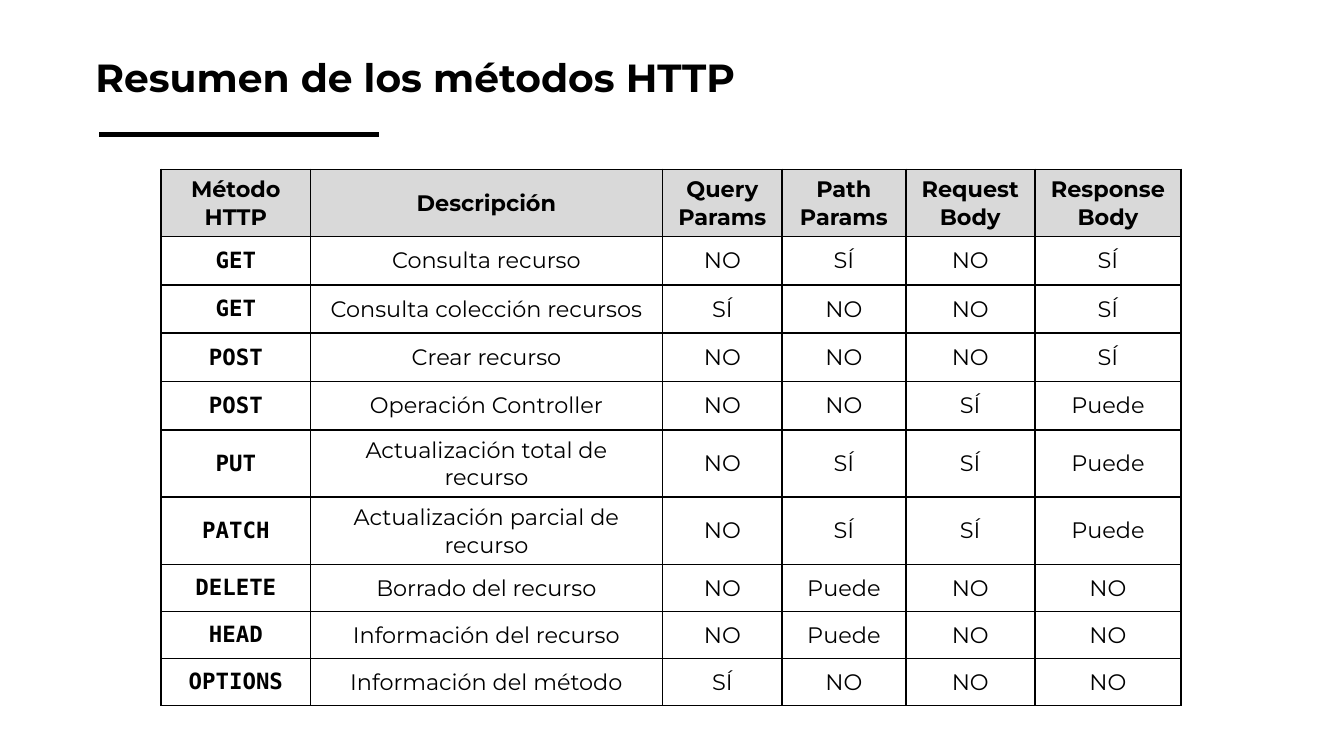
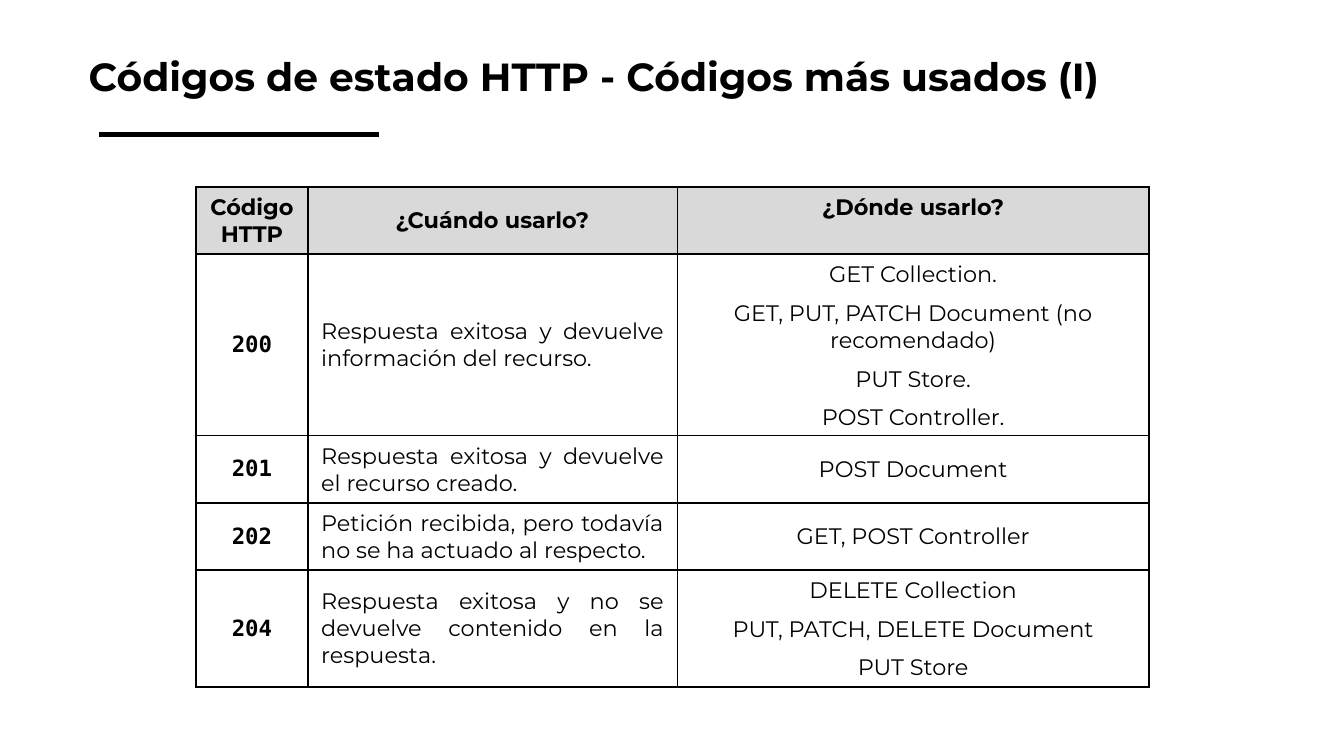
import lxml.etree
import pptx
import pptx.dml.color
import pptx.enum.shapes
import pptx.enum.text
import pptx.oxml.ns
import pptx.util

Inches = pptx.util.Inches
Pt = pptx.util.Pt
ALIGN = pptx.enum.text.PP_ALIGN
ANCHOR = pptx.enum.text.MSO_ANCHOR

BLACK, GREY = "000000", "D9D9D9"
SANS, MONO = "Montserrat", "DejaVu Sans Mono"
SLIDE_WIDTH = Inches(10)
SLIDE_HEIGHT = SLIDE_WIDTH * 9 // 16

METHODS = {
    "title": "Resumen de los métodos HTTP",
    "title_box": (0.61, 0.24, 6.57, 0.61),
    "corner": (1.2, 1.26),
    "widths": (1.11, 2.62, 0.89, 0.92, 0.96, 1.09),
    "heights": (0.5,) + (0.36,) * 4 + (0.5,) * 2 + (0.35,) * 3,
    "aligns": (ALIGN.CENTER,) * 6,
    "header_anchors": (ANCHOR.MIDDLE,) * 6,
    "space_after": (0,) * 6,
    "header": ("Método HTTP", "Descripción", "Query Params",
               "Path Params", "Request Body", "Response Body"),
    "rows": (
        ("GET", "Consulta recurso", "NO", "SÍ", "NO", "SÍ"),
        ("GET", "Consulta colección recursos", "SÍ", "NO", "NO", "SÍ"),
        ("POST", "Crear recurso", "NO", "NO", "NO", "SÍ"),
        ("POST", "Operación Controller", "NO", "NO", "SÍ", "Puede"),
        ("PUT", "Actualización total de recurso", "NO", "SÍ", "SÍ", "Puede"),
        ("PATCH", "Actualización parcial de recurso", "NO", "SÍ", "SÍ", "Puede"),
        ("DELETE", "Borrado del recurso", "NO", "Puede", "NO", "NO"),
        ("HEAD", "Información del recurso", "NO", "Puede", "NO", "NO"),
        ("OPTIONS", "Información del método", "SÍ", "NO", "NO", "NO"),
    ),
}

STATUS_CODES = {
    "title": "Códigos de estado HTTP - Códigos más usados (I)",
    "title_box": (0.56, 0.23, 7.77, 0.61),
    "corner": (1.46, 1.39),
    "widths": (0.83, 2.75, 3.51),
    "heights": (0.5, 1.35, 0.5, 0.5, 0.87),
    "aligns": (ALIGN.CENTER, ALIGN.JUSTIFY, ALIGN.CENTER),
    "header_anchors": (ANCHOR.MIDDLE, ANCHOR.MIDDLE, ANCHOR.TOP),
    "space_after": (0, 0, 6),
    "header": ("Código HTTP", "¿Cuándo usarlo?", "¿Dónde usarlo?"),
    "rows": (
        ("200", "Respuesta exitosa y devuelve información del recurso.",
         "GET Collection.\nGET, PUT, PATCH Document (no recomendado)\n"
         "PUT Store.\nPOST Controller."),
        ("201", "Respuesta exitosa y devuelve el recurso creado.", "POST Document"),
        ("202", "Petición recibida, pero todavía no se ha actuado al respecto.",
         "GET, POST Controller"),
        ("204", "Respuesta exitosa y no se devuelve contenido en la respuesta.",
         "DELETE Collection\nPUT, PATCH, DELETE Document\nPUT Store"),
    ),
}


def color(value):
    return pptx.dml.color.RGBColor.from_string(value)


def apply(target, values):
    for name, value in values.items():
        setattr(target, name, value)


def style_font(font, name, size, bold):
    apply(font, {"name": name, "size": Pt(size), "bold": bold})
    font.color.rgb = color(BLACK)


def add_title(slide, text, box):
    title = slide.shapes.title
    apply(title, dict(zip(("left", "top", "width", "height"), map(Inches, box))))
    frame = title.text_frame
    frame.text = text
    margins = ("margin_left", "margin_top", "margin_right", "margin_bottom")
    apply(frame, dict.fromkeys(margins, Inches(0.1)))
    apply(frame, {"word_wrap": True, "vertical_anchor": ANCHOR.MIDDLE,
                  "auto_size": pptx.enum.text.MSO_AUTO_SIZE.SHAPE_TO_FIT_TEXT})
    paragraph = frame.paragraphs[0]
    apply(paragraph, {"alignment": ALIGN.LEFT, "line_spacing": 1.15,
                      "space_before": Pt(0)})
    style_font(paragraph.runs[0].font, SANS, 21, True)


def add_rule(slide):
    rule = slide.shapes.add_connector(
        pptx.enum.shapes.MSO_CONNECTOR.STRAIGHT,
        Inches(0.74), Inches(1), Inches(2.82), Inches(1))
    rule.line.color.rgb = color(BLACK)
    rule.line.width = Pt(3)
    properties = rule._element.spPr
    lxml.etree.SubElement(properties, pptx.oxml.ns.qn("a:effectLst"))


def add_borders(cell):
    qn = pptx.oxml.ns.qn
    properties = cell._tc.get_or_add_tcPr()
    for side in ("a:lnL", "a:lnR", "a:lnT", "a:lnB"):
        border = lxml.etree.SubElement(properties, qn(side), w=str(Pt(1)))
        fill = lxml.etree.SubElement(border, qn("a:solidFill"))
        lxml.etree.SubElement(fill, qn("a:srgbClr"), val=BLACK)


def fill_cell(cell, text, is_header, is_key, align, anchor, space_after):
    add_borders(cell)
    if is_header:
        cell.fill.solid()
        cell.fill.fore_color.rgb = color(GREY)
    else:
        cell.fill.background()
    cell.text = text
    cell.vertical_anchor = anchor
    font_name = MONO if is_key and not is_header else SANS
    for paragraph in cell.text_frame.paragraphs:
        apply(paragraph, {"alignment": align, "space_after": Pt(space_after)})
        style_font(paragraph.runs[0].font, font_name, 12, is_header or is_key)


def add_grid(slide, content):
    widths, heights = content["widths"], content["heights"]
    left, top = content["corner"]
    table = slide.shapes.add_table(
        len(heights), len(widths), Inches(left), Inches(top),
        Inches(sum(widths)), Inches(sum(heights))).table
    apply(table, {"first_row": False, "horz_banding": False})
    for column, width in zip(table.columns, widths):
        column.width = Inches(width)
    for row, height in zip(table.rows, heights):
        row.height = Inches(height)
    for r, texts in enumerate((content["header"],) + content["rows"]):
        is_header = r == 0
        for c, text in enumerate(texts):
            fill_cell(
                table.cell(r, c), text, is_header, c == 0,
                ALIGN.CENTER if is_header else content["aligns"][c],
                content["header_anchors"][c] if is_header else ANCHOR.MIDDLE,
                0 if is_header else content["space_after"][c])


def main():
    deck = pptx.Presentation()
    apply(deck, {"slide_width": SLIDE_WIDTH, "slide_height": SLIDE_HEIGHT})
    for content in (METHODS, STATUS_CODES):
        slide = deck.slides.add_slide(deck.slide_layouts[5])
        add_rule(slide)
        add_title(slide, content["title"], content["title_box"])
        add_grid(slide, content)
    deck.save("out.pptx")


if __name__ == "__main__":
    main()
